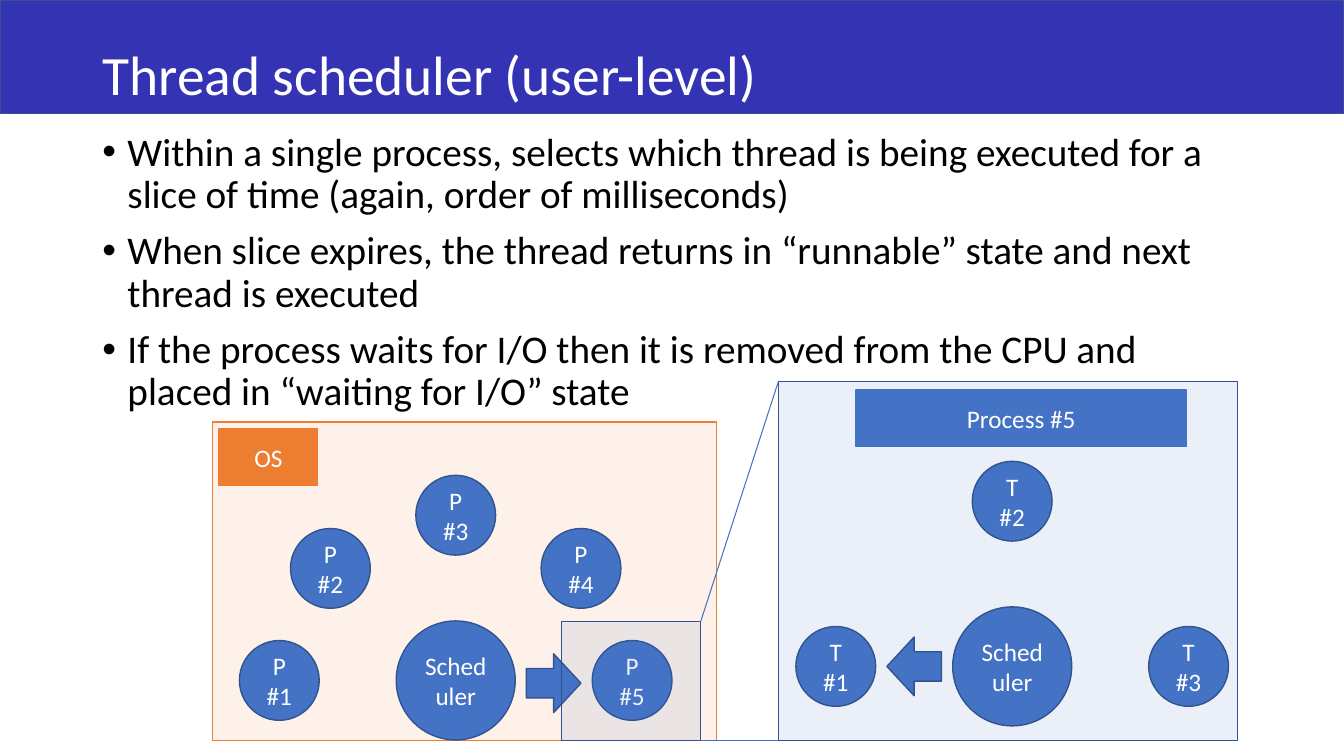
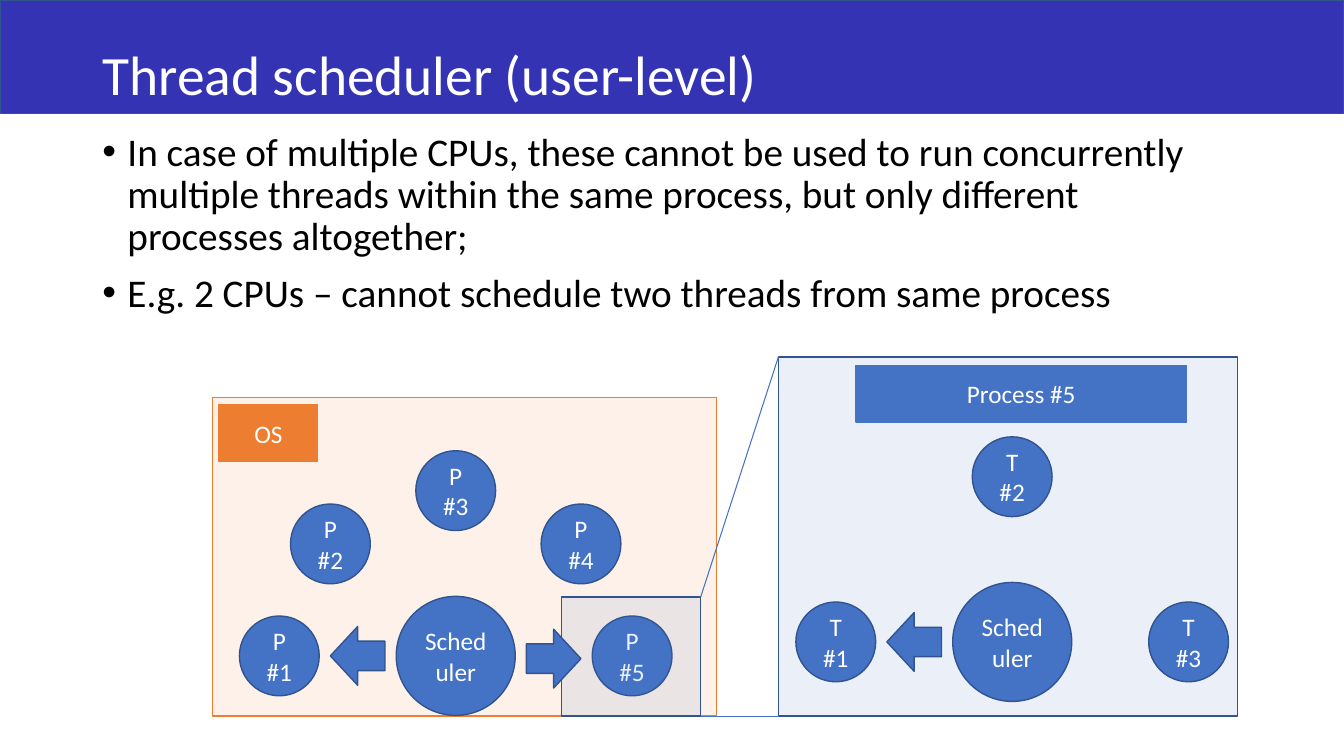
from lxml import etree
from pptx import Presentation
from pptx.dml.color import RGBColor
from pptx.enum import shapes, text
from pptx.oxml.ns import qn
from pptx.util import Pt

BAND = RGBColor(0x33, 0x33, 0xB3)
BLUE = RGBColor(0x44, 0x72, 0xC4)
OUTLINE = RGBColor(0x31, 0x53, 0x8F)
ORANGE = RGBColor(0xED, 0x7D, 0x31)
WHITE = RGBColor(0xFF, 0xFF, 0xFF)
BLACK = RGBColor(0, 0, 0)
FONT = "Calibri"
TITLE = "Thread scheduler (user-level)"

RECTANGLE = shapes.MSO_SHAPE.RECTANGLE
SLIDE_WIDTH, SLIDE_HEIGHT = 960, 540
TEXT_LEFT, TEXT_WIDTH = 66, 828
NODE_SIZE, SCHEDULER_SIZE = 57, 85
ARROW_WIDTH, ARROW_HEIGHT = 39, 42
ARROW_DISTANCE = 70

OS_CENTER, OS_RISE = 325.5, 43
PROCESS_CENTER, PROCESS_RISE = 723, 53
PROCESS_LEFT, PROCESS_WIDTH, PROCESS_HEIGHT = 556, 328, 256.5
FOCUS_LEFT, FOCUS_WIDTH, FOCUS_HEIGHT = 401, 99.5, 85

PROCESSES = [("P #4", 89.5, 80), ("P #3", 0, 118), ("P #5", 126, 0),
             ("P #2", -89.5, 80), ("P #1", -126, 0)]
THREADS = [("T #2", 0, 118), ("T #3", 126, 0), ("T #1", -126, 0)]


def set_font(paragraph, size, color):
    paragraph.font.name = FONT
    paragraph.font.size = Pt(size)
    paragraph.font.color.rgb = color


def add_box(slide, kind, left, top, width, height, fill, line, label="", opacity=100):
    shape = slide.shapes.add_shape(kind, Pt(left), Pt(top), Pt(width), Pt(height))
    shape.shadow.inherit = False
    shape.fill.solid()
    shape.fill.fore_color.rgb = fill
    shape.line.color.rgb = line
    shape.line.width = Pt(1)
    if opacity < 100:
        color = shape.element.spPr.find(qn("a:solidFill"))[0]
        etree.SubElement(color, qn("a:alpha"), val=str(opacity * 1000))
    if label:
        shape.text_frame.word_wrap = True
        shape.text_frame.vertical_anchor = text.MSO_ANCHOR.MIDDLE
        paragraph = shape.text_frame.paragraphs[0]
        paragraph.text = label
        paragraph.alignment = text.PP_ALIGN.CENTER
        set_font(paragraph, 18, WHITE)
    return shape


def add_circle(slide, center_x, center_y, size, label):
    add_box(slide, shapes.MSO_SHAPE.OVAL, center_x - size / 2, center_y - size / 2,
            size, size, BLUE, OUTLINE, label)


def add_arrow(slide, center_x, center_y, rotation=0):
    arrow = add_box(slide, shapes.MSO_SHAPE.RIGHT_ARROW, center_x - ARROW_WIDTH / 2,
                    center_y - ARROW_HEIGHT / 2, ARROW_WIDTH, ARROW_HEIGHT, BLUE, OUTLINE)
    arrow.rotation = rotation


def add_line(slide, start_x, start_y, end_x, end_y):
    line = slide.shapes.add_connector(shapes.MSO_CONNECTOR.STRAIGHT, Pt(start_x),
                                      Pt(start_y), Pt(end_x), Pt(end_y))
    line.line.color.rgb = BLUE
    line.line.width = Pt(0.75)
    etree.SubElement(line.element.spPr, qn("a:effectLst"))


def add_scheduler(slide, center_x, center_y, nodes):
    add_circle(slide, center_x, center_y, SCHEDULER_SIZE, "Scheduler")
    for label, across, up in nodes:
        add_circle(slide, center_x + across, center_y - up, NODE_SIZE, label)


def add_titled_slide(presentation):
    slide = presentation.slides.add_slide(presentation.slide_layouts[5])
    title = slide.shapes.title
    title.left, title.top = Pt(TEXT_LEFT), Pt(29)
    title.width, title.height = Pt(TEXT_WIDTH), Pt(52.5)
    title.text_frame.text = TITLE
    title.text_frame.auto_size = text.MSO_AUTO_SIZE.NONE
    title.text_frame.vertical_anchor = text.MSO_ANCHOR.MIDDLE
    paragraph = title.text_frame.paragraphs[0]
    paragraph.alignment = text.PP_ALIGN.LEFT
    paragraph.line_spacing = 0.9
    set_font(paragraph, 39.6, WHITE)
    band = add_box(slide, RECTANGLE, 0, 0, SLIDE_WIDTH, 81, BAND, OUTLINE)
    title.element.addprevious(band.element)
    return slide


def add_bullets(slide, items):
    box = slide.shapes.add_textbox(Pt(TEXT_LEFT), Pt(91), Pt(TEXT_WIDTH), Pt(395))
    frame = box.text_frame
    frame.word_wrap = True
    for index, item in enumerate(items):
        paragraph = frame.add_paragraph() if index else frame.paragraphs[0]
        paragraph.text = item
        paragraph.line_spacing = 0.9
        if index:
            paragraph.space_before = Pt(10)
        properties = paragraph._p.get_or_add_pPr()
        properties.set("marL", str(Pt(18)))
        properties.set("indent", str(-Pt(18)))
        etree.SubElement(properties, qn("a:buFont"), typeface="Arial")
        etree.SubElement(properties, qn("a:buChar"), char="•")
        set_font(paragraph, 28, BLACK)


def add_os(slide, bottom, two_cpus):
    center_y = bottom - OS_RISE
    right_arrow = OS_CENTER + ARROW_DISTANCE, center_y + 2
    add_box(slide, RECTANGLE, 152, bottom - 227.5, 360, 227.5, ORANGE, ORANGE, opacity=10)
    add_scheduler(slide, OS_CENTER, center_y, PROCESSES)
    if two_cpus:
        add_arrow(slide, OS_CENTER - ARROW_DISTANCE, center_y, 180)
    else:
        add_arrow(slide, *right_arrow)
    add_box(slide, RECTANGLE, FOCUS_LEFT, bottom - FOCUS_HEIGHT, FOCUS_WIDTH,
            FOCUS_HEIGHT, BLUE, OUTLINE, opacity=10)
    if two_cpus:
        add_arrow(slide, *right_arrow)
    add_box(slide, RECTANGLE, 156.5, bottom - 222.5, 70.5, 40.5, ORANGE, ORANGE, "OS")


def add_process(slide, bottom):
    center_y = bottom - PROCESS_RISE
    top = bottom - PROCESS_HEIGHT
    add_box(slide, RECTANGLE, PROCESS_LEFT, top, PROCESS_WIDTH, PROCESS_HEIGHT,
            BLUE, OUTLINE, opacity=10)
    add_scheduler(slide, PROCESS_CENTER, center_y, THREADS)
    add_arrow(slide, PROCESS_CENTER - ARROW_DISTANCE, center_y, 180)
    focus_right = FOCUS_LEFT + FOCUS_WIDTH
    add_line(slide, focus_right, bottom - FOCUS_HEIGHT, PROCESS_LEFT, top)
    add_line(slide, focus_right, bottom, PROCESS_LEFT, bottom)
    add_box(slide, RECTANGLE, 611.5, top + 6, 236, 40.5, BLUE, BLUE, "Process #5")


def add_scheduling_slide(presentation, bullets, bottom, two_cpus):
    slide = add_titled_slide(presentation)
    add_bullets(slide, bullets)
    add_os(slide, bottom, two_cpus)
    add_process(slide, bottom)


def main():
    presentation = Presentation()
    presentation.slide_width = Pt(SLIDE_WIDTH)
    presentation.slide_height = Pt(SLIDE_HEIGHT)
    add_scheduling_slide(presentation, [
        "Within a single process, selects which thread is being executed for a slice of time "
        "(again, order of milliseconds)",
        "When slice expires, the thread returns in “runnable” state and next thread is executed",
        "If the process waits for I/O then it is removed from the CPU and placed in "
        "“waiting for I/O” state",
    ], bottom=529, two_cpus=False)
    add_scheduling_slide(presentation, [
        "In case of multiple CPUs, these cannot be used to run concurrently multiple threads "
        "within the same process, but only different processes altogether;",
        "E.g. 2 CPUs – cannot schedule two threads from same process",
    ], bottom=511.5, two_cpus=True)
    presentation.save("out.pptx")


if __name__ == "__main__":
    main()
